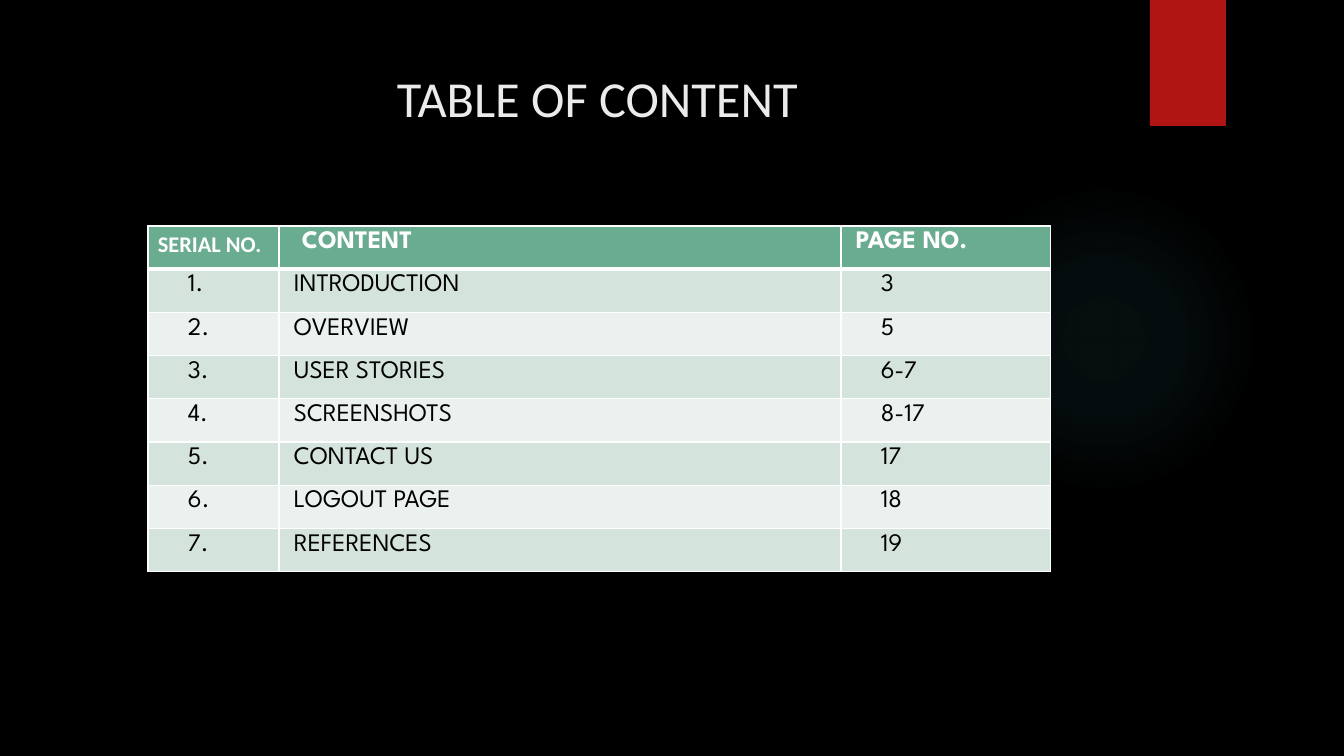
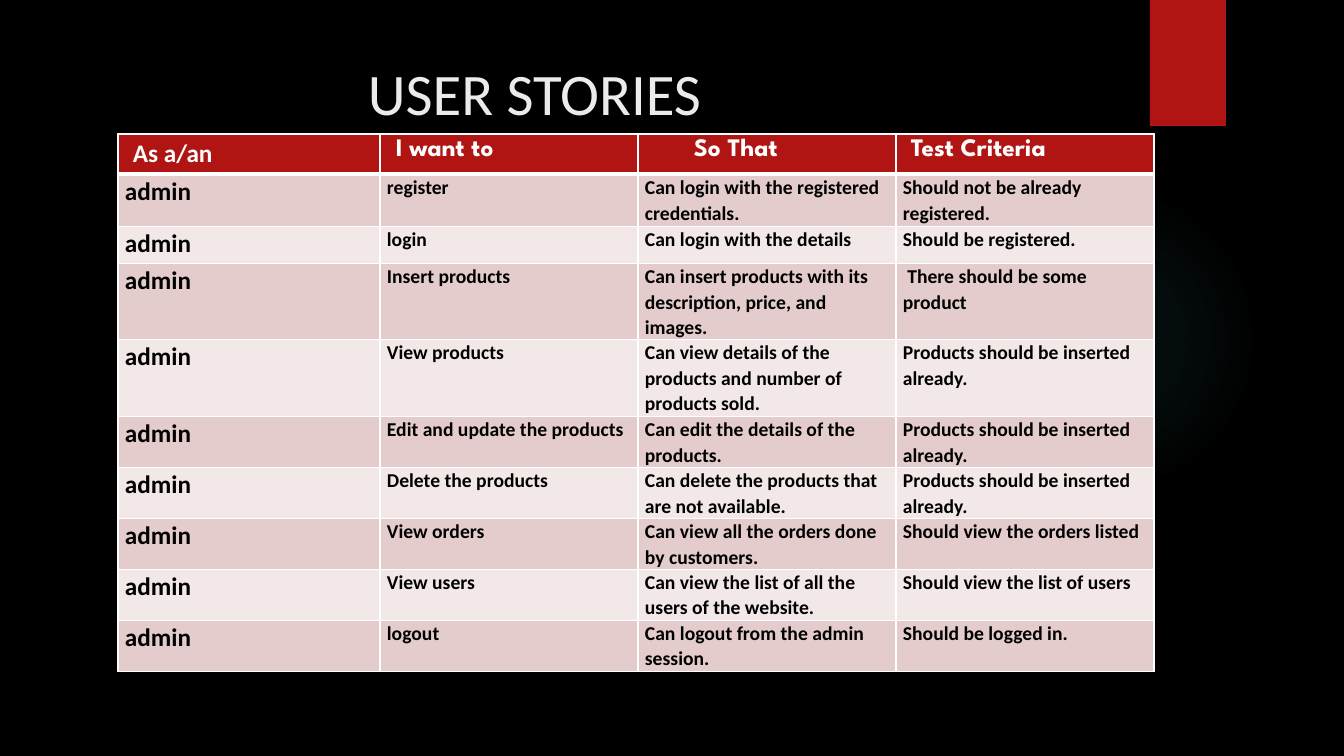
"""Build the contents and user-stories slides of a web shop project deck."""
from dataclasses import dataclass

from lxml.etree import SubElement
from pptx import Presentation
from pptx.dml.color import RGBColor
from pptx.enum.shapes import MSO_CONNECTOR, MSO_SHAPE
from pptx.enum.text import MSO_ANCHOR
from pptx.oxml import parse_xml
from pptx.oxml.ns import nsdecls, qn
from pptx.presentation import Presentation as Deck
from pptx.slide import Slide
from pptx.table import _Cell
from pptx.text.text import _Paragraph
from pptx.util import Emu, Pt

SLIDE_WIDTH, SLIDE_HEIGHT = 1344, 756
EMU_PER_PX = 12192000 / SLIDE_WIDTH

BLACK = RGBColor(0x00, 0x00, 0x00)
WHITE = RGBColor(0xFF, 0xFF, 0xFF)
TITLE_GREY = RGBColor(0xEB, 0xEB, 0xEB)
RED = RGBColor(0xB0, 0x15, 0x13)
PINK = RGBColor(0xE4, 0xCC, 0xCC)
PALE_PINK = RGBColor(0xF2, 0xE8, 0xE7)
GREEN = RGBColor(0x6A, 0xAC, 0x90)
MINT = RGBColor(0xD4, 0xE3, 0xDB)
PALE_MINT = RGBColor(0xEB, 0xF1, 0xEE)
GLOW_TEAL = RGBColor(0x50, 0xB9, 0xC1)

GLOW_STOPS = ((0, 7), (36, 6), (69, 0))
TITLE_WIDTH, TITLE_HEIGHT = 1037, 154


@dataclass(frozen=True)
class TextStyle:
    """Font settings and the first-line indent of a text."""
    font: str
    size: int
    color: RGBColor
    bold: bool = False
    indent: int = 0


@dataclass(frozen=True)
class Title:
    """A slide title and the place of its box."""
    text: str
    left: int
    top: int
    top_inset: int
    style: TextStyle


@dataclass(frozen=True)
class Column:
    """A table column with its heading and text styles."""
    heading: str
    width: int
    heading_style: TextStyle
    body_style: TextStyle


@dataclass(frozen=True)
class Grid:
    """A table with a coloured heading row and two alternating bands."""
    left: int
    top: int
    columns: tuple[Column, ...]
    row_heights: tuple[float, ...]
    rows: tuple[tuple[str, ...], ...]
    heading_fill: RGBColor
    bands: tuple[RGBColor, RGBColor]
    body_insets: tuple[int, int] = (10, 5)
    line_spacing: float = 1.0
    space_after: int = 0


def px(length: float) -> Emu:
    """Turn pixels into EMU."""
    return Emu(round(length * EMU_PER_PX))


def write(paragraph: _Paragraph, text: str, style: TextStyle) -> None:
    """Add one styled run to a paragraph."""
    paragraph._p.get_or_add_pPr().set("indent", str(px(style.indent)))
    run = paragraph.add_run()
    run.text = text
    run.font.name = style.font
    run.font.size = Pt(style.size)
    run.font.bold = style.bold
    run.font.color.rgb = style.color


def draw_backdrop(slide: Slide) -> None:
    """Draw the black ground, the soft glow and the red ribbon."""
    slide.background.fill.solid()
    slide.background.fill.fore_color.rgb = BLACK
    glow = slide.shapes.add_shape(MSO_SHAPE.OVAL, px(949), px(184), px(310), px(310))
    glow.shadow.inherit = False
    glow.line.fill.background()
    stops = "".join(
        f'<a:gs pos="{place * 1000}"><a:srgbClr val="{GLOW_TEAL}">'
        f'<a:alpha val="{alpha * 1000}"/></a:srgbClr></a:gs>'
        for place, alpha in GLOW_STOPS
    )
    gradient = parse_xml(
        f'<a:gradFill {nsdecls("a")}><a:gsLst>{stops}</a:gsLst><a:path path="circle">'
        '<a:fillToRect l="50000" t="50000" r="50000" b="50000"/></a:path></a:gradFill>'
    )
    glow._element.spPr.find(qn("a:prstGeom")).addnext(gradient)
    ribbon = slide.shapes.add_shape(MSO_SHAPE.RECTANGLE, px(1150), px(0), px(76), px(126))
    ribbon.shadow.inherit = False
    ribbon.fill.solid()
    ribbon.fill.fore_color.rgb = RED
    ribbon.line.fill.background()


def draw_title(slide: Slide, title: Title) -> None:
    """Draw the slide title."""
    box = slide.shapes.add_textbox(
        px(title.left), px(title.top), px(TITLE_WIDTH), px(TITLE_HEIGHT)
    )
    frame = box.text_frame
    frame.word_wrap = True
    frame.vertical_anchor = MSO_ANCHOR.TOP
    frame.margin_left = frame.margin_right = px(10)
    frame.margin_top = px(title.top_inset)
    write(frame.paragraphs[0], title.text, title.style)


def draw_borders(cell: _Cell, row: int) -> None:
    """Give a cell white borders, thick between heading and body."""
    widths = {"L": 1, "R": 1, "T": 3 if row == 1 else 1, "B": 3 if row == 0 else 1}
    properties = cell._tc.get_or_add_tcPr()
    for side, width in widths.items():
        border = SubElement(properties, qn(f"a:ln{side}"), w=str(Pt(width)))
        paint = SubElement(border, qn("a:solidFill"))
        SubElement(paint, qn("a:srgbClr"), val=str(WHITE))


def draw_grid(slide: Slide, grid: Grid) -> None:
    """Draw a table with its heading row and banded body."""
    lines = (tuple(column.heading for column in grid.columns), *grid.rows)
    table = slide.shapes.add_table(
        len(lines), len(grid.columns), px(grid.left), px(grid.top),
        px(sum(column.width for column in grid.columns)), px(sum(grid.row_heights)),
    ).table
    for table_row, height in zip(table.rows, grid.row_heights):
        table_row.height = px(height)
    for table_column, column in zip(table.columns, grid.columns):
        table_column.width = px(column.width)
    for row, line in enumerate(lines):
        heading = row == 0
        side, edge = (10, 5) if heading else grid.body_insets
        for place, (column, text) in enumerate(zip(grid.columns, line)):
            cell = table.cell(row, place)
            draw_borders(cell, row)
            cell.fill.solid()
            cell.fill.fore_color.rgb = grid.heading_fill if heading else grid.bands[(row - 1) % 2]
            cell.margin_left = cell.margin_right = px(side)
            cell.margin_top = cell.margin_bottom = px(edge)
            paragraph = cell.text_frame.paragraphs[0]
            if not heading:
                paragraph.line_spacing = grid.line_spacing
                paragraph.space_after = Pt(grid.space_after)
            write(paragraph, text, column.heading_style if heading else column.body_style)


def draw_speck(slide: Slide) -> None:
    """Draw the tiny red mark beside the fourth story."""
    speck = slide.shapes.add_connector(
        MSO_CONNECTOR.STRAIGHT, px(253), px(365), px(253), px(365)
    )
    speck.line.color.rgb = RED
    speck.line.width = Pt(0.75)
    SubElement(speck._element.spPr, qn("a:effectLst"))


def spartan_heading(indent: int) -> TextStyle:
    """Return the bold white heading style."""
    return TextStyle("League Spartan", 18, WHITE, True, indent)


def spartan_body(indent: int) -> TextStyle:
    """Return the plain black body style."""
    return TextStyle("League Spartan", 18, BLACK, False, indent)


CONTENTS_TITLE = Title(
    "TABLE OF CONTENT", 67, 52, 15, TextStyle("Calibri", 36, TITLE_GREY, indent=320)
)
SECTIONS = (
    ("INTRODUCTION", "3"),
    ("OVERVIEW", "5"),
    ("USER STORIES", "6-7"),
    ("SCREENSHOTS", "8-17"),
    ("CONTACT US", "17"),
    ("LOGOUT PAGE", "18"),
    ("REFERENCES", "19"),
)
CONTENTS = Grid(
    left=148,
    top=226,
    columns=(
        Column("SERIAL NO.", 131, TextStyle("Calibri", 16, WHITE, True), spartan_body(30)),
        Column("CONTENT", 562, spartan_heading(13), spartan_body(5)),
        Column("PAGE NO.", 210, spartan_heading(5), spartan_body(30)),
    ),
    row_heights=(346 / 8,) * 8,
    rows=tuple((f"{number}.", *section) for number, section in enumerate(SECTIONS, 1)),
    heading_fill=GREEN,
    bands=(MINT, PALE_MINT),
)

STORIES_TITLE = Title(
    "USER STORIES", 72, 50, 7, TextStyle("Calibri", 42, TITLE_GREY, indent=286)
)
ROLE_STYLE = TextStyle("Calibri", 18, BLACK, True)
STORY_STYLE = TextStyle("Calibri", 14, BLACK, True)
INSERTED = "Products should be inserted already."
ADMIN_STORIES = (
    ("register", "Can login with the registered credentials.",
     "Should not be already registered."),
    ("login", "Can login with the details", "Should be registered."),
    ("Insert products", "Can insert products with its description, price, and images.",
     " There should be some product"),
    ("View products", "Can view details of the products and number of products sold.",
     INSERTED),
    ("Edit and update the products", "Can edit the details of the products.", INSERTED),
    ("Delete the products", "Can delete the products that are not available.", INSERTED),
    ("View orders", "Can view all the orders done by customers.",
     "Should view the orders listed"),
    ("View users", "Can view the list of all the users of the website.",
     "Should view the list of users"),
    ("logout", "Can logout from the admin session.", "Should be logged in."),
)
STORIES = Grid(
    left=118,
    top=134,
    columns=(
        Column("As a/an", 262, TextStyle("Calibri", 18, WHITE, True, 5), ROLE_STYLE),
        Column("I want to", 258, spartan_heading(6), STORY_STYLE),
        Column("So That", 258, spartan_heading(46), STORY_STYLE),
        Column("Test Criteria", 258, spartan_heading(5), STORY_STYLE),
    ),
    row_heights=(40, 52, 37, 76, 77) + (51,) * 5,
    rows=tuple(("admin", *story) for story in ADMIN_STORIES),
    heading_fill=RED,
    bands=(PINK, PALE_PINK),
    body_insets=(7, 0),
    line_spacing=1.07,
    space_after=8,
)


def add_page(deck: Deck, title: Title, grid: Grid) -> Slide:
    """Add a slide with the backdrop, a title and a table."""
    slide = deck.slides.add_slide(deck.slide_layouts[6])
    draw_backdrop(slide)
    draw_title(slide, title)
    draw_grid(slide, grid)
    return slide


def main() -> None:
    """Build and save the deck."""
    deck = Presentation()
    deck.slide_width, deck.slide_height = px(SLIDE_WIDTH), px(SLIDE_HEIGHT)
    add_page(deck, CONTENTS_TITLE, CONTENTS)
    draw_speck(add_page(deck, STORIES_TITLE, STORIES))
    deck.save("out.pptx")


if __name__ == "__main__":
    main()
